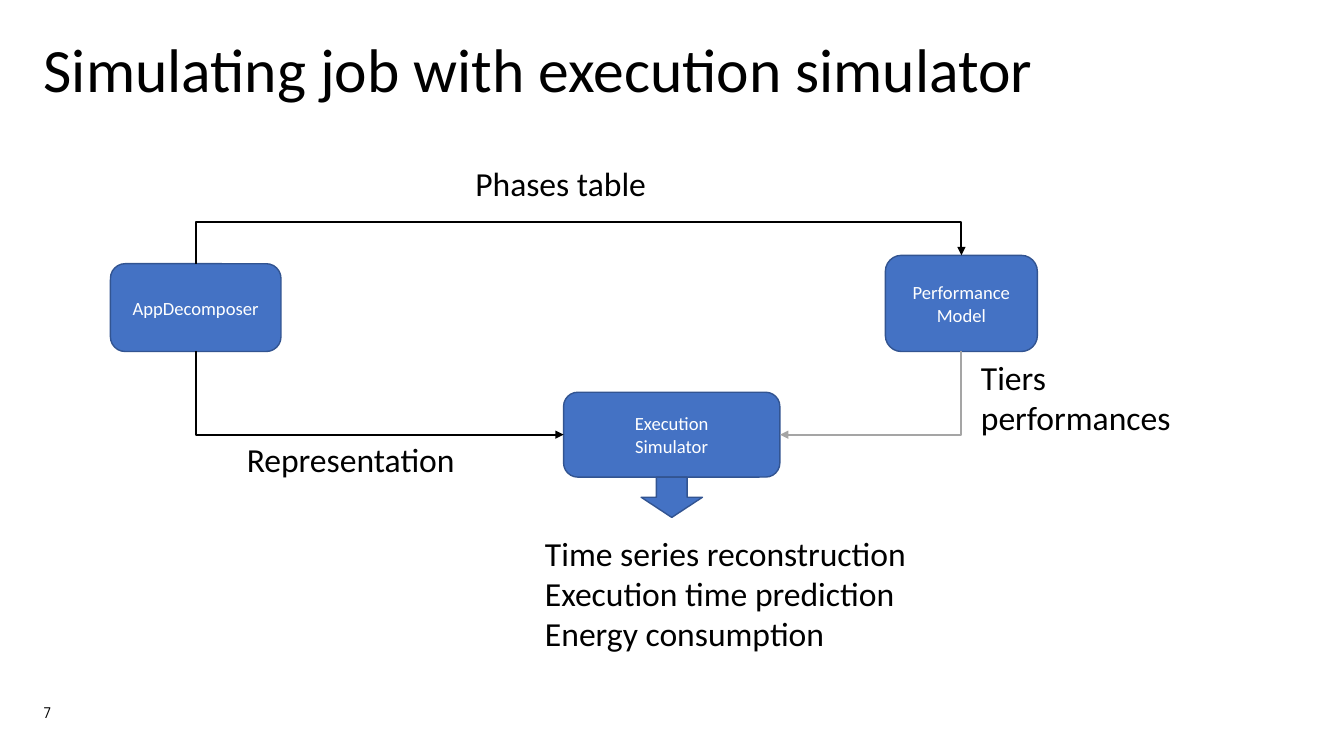
from dataclasses import dataclass

import pptx
import pptx.dml.color
import pptx.enum.shapes
import pptx.enum.text
import pptx.oxml
import pptx.oxml.ns
import pptx.util

SHAPE = pptx.enum.shapes.MSO_SHAPE
ALIGN = pptx.enum.text.PP_ALIGN
ANCHOR = pptx.enum.text.MSO_ANCHOR
FIT = pptx.enum.text.MSO_AUTO_SIZE

WIDTH, HEIGHT = pptx.util.Inches(13.333), pptx.util.Inches(7.5)
COLUMNS, ROWS = 160, 90
TOP, LEFT, BOTTOM, RIGHT = range(4)  # connection sites of a box


@dataclass(frozen=True)
class Theme:
    """Fonts, colours and type sizes of the slide."""
    font: str = "Calibri"
    number_font: str = "Manrope"
    ink: str = "000000"
    fill: str = "4472C4"
    outline: str = "325491"
    box_ink: str = "FFFFFF"
    muted: str = "A5A5A5"
    title_size: float = 44
    label_size: float = 24
    box_size: float = 13.3
    number_size: float = 10.7
    outline_width: float = 1
    link_width: float = 1.5


THEME = Theme()


def color(value):
    """Turn a hex string into a colour."""
    return pptx.dml.color.RGBColor.from_string(value)


def grid(column, row, columns, rows):
    """Turn grid cells into left, top, width and height."""
    return (round(column * WIDTH / COLUMNS), round(row * HEIGHT / ROWS),
            round(columns * WIDTH / COLUMNS), round(rows * HEIGHT / ROWS))


def write(shape, text, *, size, font=THEME.font, ink=THEME.ink, align=ALIGN.LEFT,
          anchor=ANCHOR.TOP, wrap=True, fit=FIT.NONE, spacing=None):
    """Fill a shape with text, one paragraph for each line."""
    frame = shape.text_frame
    frame.text = text
    frame.word_wrap = wrap
    frame.auto_size = fit
    frame.vertical_anchor = anchor
    for para in frame.paragraphs:
        para.alignment = align
        para.line_spacing = spacing
        for span in para.runs:
            span.font.name = font
            span.font.size = pptx.util.Pt(size)
            span.font.color.rgb = color(ink)


def add_title(page, text, place):
    """Move the title placeholder into place and fill it."""
    title = page.shapes.title
    title.left, title.top, title.width, title.height = place
    write(title, text, size=THEME.title_size, anchor=ANCHOR.MIDDLE, spacing=0.9)


def add_label(page, text, place):
    """Add a free label that does not wrap."""
    box = page.shapes.add_textbox(*place)
    write(box, text, size=THEME.label_size, wrap=False, fit=FIT.SHAPE_TO_FIT_TEXT)


def add_number(page, text, place):
    """Add the page number."""
    box = page.shapes.add_textbox(*place)
    write(box, text, size=THEME.number_size, font=THEME.number_font,
          anchor=ANCHOR.MIDDLE)


def add_block(page, kind, place):
    """Add a filled and outlined preset shape."""
    block = page.shapes.add_shape(kind, *place)
    block.shadow.inherit = False
    block.fill.solid()
    block.fill.fore_color.rgb = color(THEME.fill)
    block.line.color.rgb = color(THEME.outline)
    block.line.width = pptx.util.Pt(THEME.outline_width)
    return block


def add_component(page, text, place):
    """Add a rounded box that names a component."""
    box = add_block(page, SHAPE.ROUNDED_RECTANGLE, place)
    write(box, text, size=THEME.box_size, ink=THEME.box_ink,
          align=ALIGN.CENTER, anchor=ANCHOR.MIDDLE)
    return box


def add_output_arrow(page, source, columns, rows):
    """Add a down arrow centred under a box."""
    width, height = grid(0, 0, columns, rows)[2:]
    left = source.left + (source.width - width) // 2
    add_block(page, SHAPE.DOWN_ARROW,
              (left, source.top + source.height, width, height))


def site_point(box, site):
    """Find the point of a connection site."""
    x = {LEFT: 0, RIGHT: box.width}.get(site, box.width // 2)
    y = {TOP: 0, BOTTOM: box.height}.get(site, box.height // 2)
    return box.left + x, box.top + y


def add_link(page, source, source_site, target, target_site, ink, lane=None):
    """Add an elbow arrow that leaves vertically, with one bend or along a lane."""
    start, end = site_point(source, source_site), site_point(target, target_site)
    link = page.shapes.add_connector(
        pptx.enum.shapes.MSO_CONNECTOR.ELBOW, *start, *end)
    link.begin_connect(source, source_site)
    link.end_connect(target, target_site)
    link.line.color.rgb = color(ink)
    link.line.width = pptx.util.Pt(THEME.link_width)

    # A quarter turn makes the preset start vertically: its width runs down the page.
    across, down = end[0] - start[0], end[1] - start[1]
    link.width, link.height = abs(down), abs(across)
    link.left = (start[0] + end[0] - link.width) // 2
    link.top = (start[1] + end[1] - link.height) // 2
    opposite = across > 0 and down > 0
    properties = link._element.spPr
    frame = properties.find(pptx.oxml.ns.qn("a:xfrm"))
    frame.set("rot", str((270 if opposite else 90) * 60000))
    frame.set("flipH", str(int(opposite or down < 0)))
    frame.set("flipV", str(int(across > 0 and not opposite)))

    geometry = properties.find(pptx.oxml.ns.qn("a:prstGeom"))
    if lane is None:
        geometry.set("prst", "bentConnector2")
    else:
        bend = round((lane - start[1]) / down * 100000)
        guides = geometry.find(pptx.oxml.ns.qn("a:avLst"))
        guide = guides.makeelement(pptx.oxml.ns.qn("a:gd"),
                                   {"name": "adj1", "fmla": f"val {bend}"})
        guides.append(guide)
    stroke = link.line._get_or_add_ln()
    stroke.append(stroke.makeelement(pptx.oxml.ns.qn("a:tailEnd"),
                                     {"type": "triangle"}))
    properties.append(properties.makeelement(pptx.oxml.ns.qn("a:effectLst"), {}))


def main():
    """Build the slide and save it."""
    deck = pptx.Presentation()
    deck.slide_width, deck.slide_height = WIDTH, HEIGHT
    page = deck.slides.add_slide(deck.slide_layouts.get_by_name("Title Only"))

    add_title(page, "Simulating job with execution simulator",
              grid(4, 2.2, 150.1, 12.8))
    add_number(page, "7", grid(4, 83, 7.8, 3.7))

    decomposer = add_component(page, "AppDecomposer", grid(13.15, 31.4, 20.3, 10.45))
    simulator = add_component(page, "Execution\nSimulator",
                              grid(67.1, 46.7, 25.75, 10.1))
    model = add_component(page, "Performance Model", grid(105.4, 30.4, 18.1, 11.45))

    add_link(page, decomposer, BOTTOM, simulator, LEFT, THEME.ink)
    add_link(page, decomposer, TOP, model, TOP, THEME.ink,
             lane=grid(0, 26.4, 0, 0)[1])
    add_link(page, model, BOTTOM, simulator, RIGHT, THEME.muted)
    add_output_arrow(page, simulator, 7.3, 4.8)

    add_label(page, "Representation", grid(28.2, 51.7, 27.5, 6))
    add_label(page, "Phases table", grid(55.4, 18.8, 22.9, 6))
    add_label(page, "Tiers\nperformances", grid(115.6, 41.9, 25.2, 10.9))
    add_label(page, "Time series reconstruction\nExecution time prediction\n"
              "Energy consumption", grid(63.7, 62.8, 45.8, 15.7))
    deck.save("out.pptx")


main()
